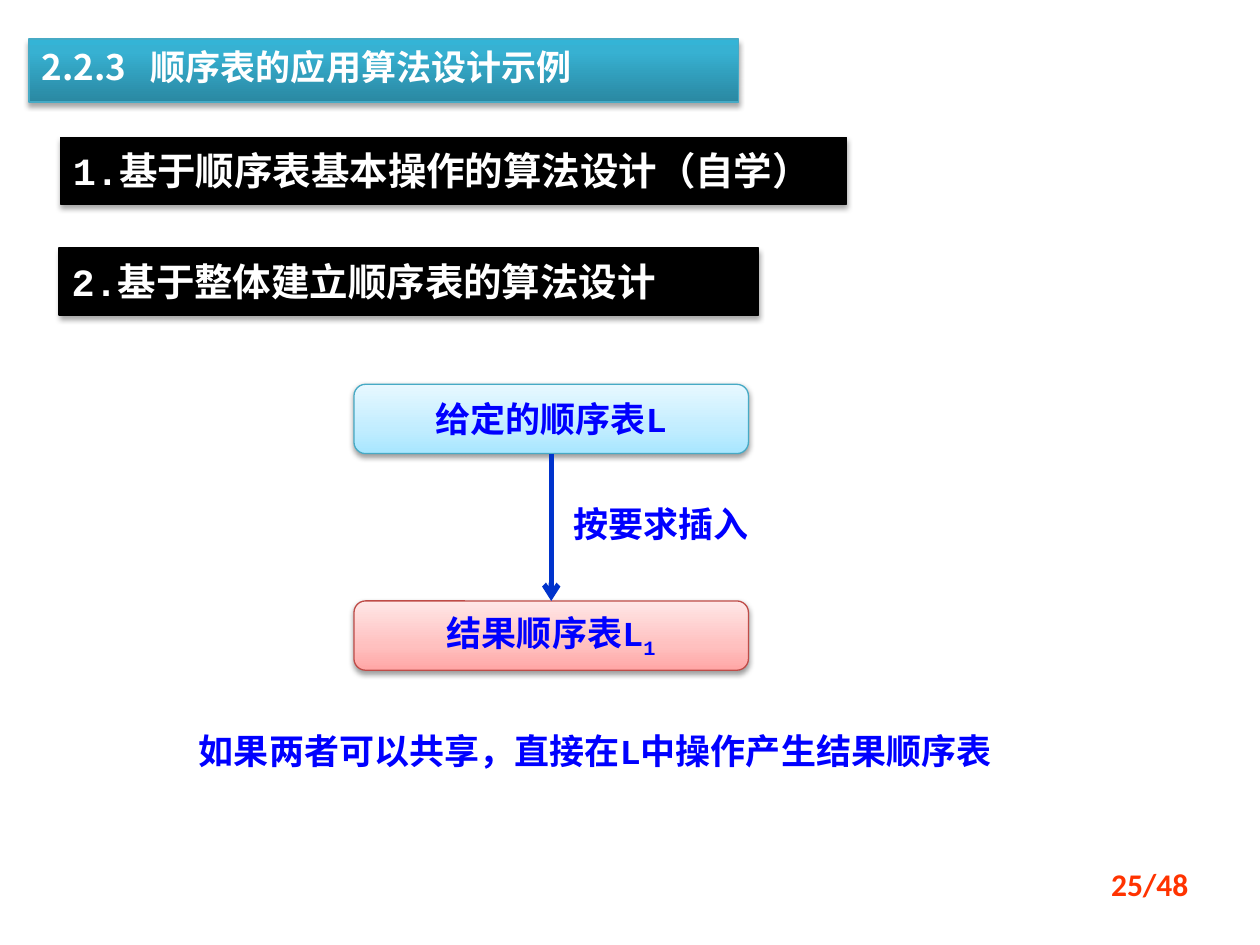
from lxml import etree
from pptx import Presentation
from pptx.dml.color import RGBColor
from pptx.enum import shapes, text
from pptx.oxml.ns import qn
from pptx.util import Pt

HEX = {"white": "FFFFFF", "black": "000000", "blue": "0000FF",
       "arrow": "0033CC", "page": "FF3300", "teal": "46AAC5", "red": "BF4C48"}
# Gradient stops run from the bottom edge to the top edge
GRADS = {"title": [(0, "2A88A2"), (80, "37B1D2"), (100, "34B4D6")],
         "given": [(0, "A7E6FF"), (35, "C1EDFF"), (100, "E7F8FF")],
         "result": [(0, "FFA6A5"), (35, "FFC0BF"), (100, "FFE7E7")]}
MONO, SANS, PAGE = "Courier New", "Noto Sans CJK SC", "Calibri"


def rgb(name):
    return RGBColor.from_string(HEX[name])


def node(parent, tag, **attrs):
    return etree.SubElement(parent, qn(tag), {k: str(v) for k, v in attrs.items()})


def add_run(para, words, size, color, font=MONO, base=None):
    run = para.add_run()
    run.text = words
    run.font.size, run.font.bold, run.font.name = Pt(size), True, font
    run.font.color.rgb = rgb(color)
    props = run._r.get_or_add_rPr()
    node(props, "a:ea", typeface=SANS)
    if base:
        props.set("baseline", str(base * 1000))


def shade(shape, alpha, dist):
    shape.shadow.inherit = False
    effects = shape._element.spPr.find(qn("a:effectLst"))
    outer = node(effects, "a:outerShdw", blurRad=Pt(3.1), dist=Pt(dist),
                 dir=90 * 60000, rotWithShape=0)
    color = node(outer, "a:srgbClr", val=HEX["black"])
    node(color, "a:alpha", val=alpha * 1000)


def blend(shape, stops):
    shape.fill.gradient()
    grad = shape._element.spPr.find(qn("a:gradFill"))
    for child in list(grad):
        grad.remove(child)
    items = node(grad, "a:gsLst")
    for pos, color in stops:
        node(node(items, "a:gs", pos=pos * 1000), "a:srgbClr", val=color)
    node(grad, "a:lin", ang=270 * 60000, scaled=0)


def add_panel(slide, kind, box, line, grad=None, alpha=35, dist=1.8):
    panel = slide.shapes.add_shape(kind, *map(Pt, box))
    if grad:
        blend(panel, GRADS[grad])
    else:
        panel.fill.solid()
        panel.fill.fore_color.rgb = rgb(line)
    panel.line.color.rgb, panel.line.width = rgb(line), Pt(0.75)
    shade(panel, alpha, dist)
    frame = panel.text_frame
    frame.word_wrap = True
    frame.vertical_anchor = text.MSO_ANCHOR.TOP
    frame.paragraphs[0].alignment = text.PP_ALIGN.LEFT
    return panel


# Section title
def add_title(slide, box, number, words):
    panel = add_panel(slide, shapes.MSO_SHAPE.RECTANGLE, box, "teal", "title")
    para = panel.text_frame.paragraphs[0]
    tabs = node(para._p.get_or_add_pPr(), "a:tabLst")
    node(tabs, "a:tab", pos=Pt(62.5), algn="l")
    add_run(para, number + "\t" + words, 20, "white", SANS)


# Black topic band
def add_topic(slide, box, number, words):
    panel = add_panel(slide, shapes.MSO_SHAPE.RECTANGLE, box, "black")
    frame = panel.text_frame
    frame.margin_top = frame.margin_bottom = Pt(5.76)
    add_run(frame.paragraphs[0], number, 22, "white")
    add_run(frame.paragraphs[0], words, 22, "white", SANS)


def add_text(slide, box, words, size=20, color="blue", font=MONO, lead=26,
             align=text.PP_ALIGN.LEFT):
    frame = slide.shapes.add_textbox(*map(Pt, box)).text_frame
    frame.word_wrap = True
    para = frame.paragraphs[0]
    para.alignment = align
    if lead:
        para.line_spacing = Pt(lead)
    add_run(para, words, size, color, font)


def add_step(slide, box, words, line, grad, sub=None):
    step = add_panel(slide, shapes.MSO_SHAPE.ROUNDED_RECTANGLE, box, line, grad,
                     alpha=38, dist=1.6)
    step.text_frame.vertical_anchor = text.MSO_ANCHOR.MIDDLE
    para = step.text_frame.paragraphs[0]
    para.alignment = text.PP_ALIGN.CENTER
    add_run(para, words, 20, "blue")
    if sub:
        add_run(para, sub, 20, "blue", base=-25)
    return step


# Two steps joined by an arrow, with the label beside it
def add_flow(slide, box):
    left, top, width, height = box
    high = 39.6
    low = top + height - high
    given = add_step(slide, (left, top, width, high), "给定的顺序表L", "teal", "given")
    result = add_step(slide, (left, low, width, high), "结果顺序表L", "red",
                      "result", "1")
    mid = left + width / 2
    arrow = slide.shapes.add_connector(shapes.MSO_CONNECTOR.STRAIGHT, Pt(mid),
                                       Pt(top + high), Pt(mid), Pt(low))
    arrow.begin_connect(given, 2)
    arrow.end_connect(result, 0)
    arrow.line.color.rgb, arrow.line.width = rgb("arrow"), Pt(3)
    node(arrow.line._get_or_add_ln(), "a:tailEnd", type="arrow")
    node(arrow._element.spPr, "a:effectLst")
    add_text(slide, (mid + 5.4, top + 61.9, 157.7, 33.8), "按要求插入")


def main():
    deck = Presentation()
    deck.slide_width, deck.slide_height = Pt(720), Pt(540)
    slide = deck.slides.add_slide(deck.slide_layouts[6])
    add_title(slide, (16.6, 22.3, 405.4, 36), "2.2.3", "顺序表的应用算法设计示例")
    add_topic(slide, (34.6, 78.5, 449.3, 38.2), "1.",
              "基于顺序表基本操作的算法设计（自学）")
    add_topic(slide, (33.8, 141.8, 399.6, 38.2), "2.",
              "基于整体建立顺序表的算法设计")
    add_flow(slide, (202.3, 219.6, 225.4, 163.4))
    # Closing remark and page number
    add_text(slide, (106.6, 411.1, 478.1, 33.8),
             "如果两者可以共享，直接在L中操作产生结果顺序表")
    add_text(slide, (518.4, 491, 167.8, 37.4), "25/48", 18, "page", PAGE, None,
             text.PP_ALIGN.RIGHT)
    deck.save("out.pptx")


if __name__ == "__main__":
    main()
